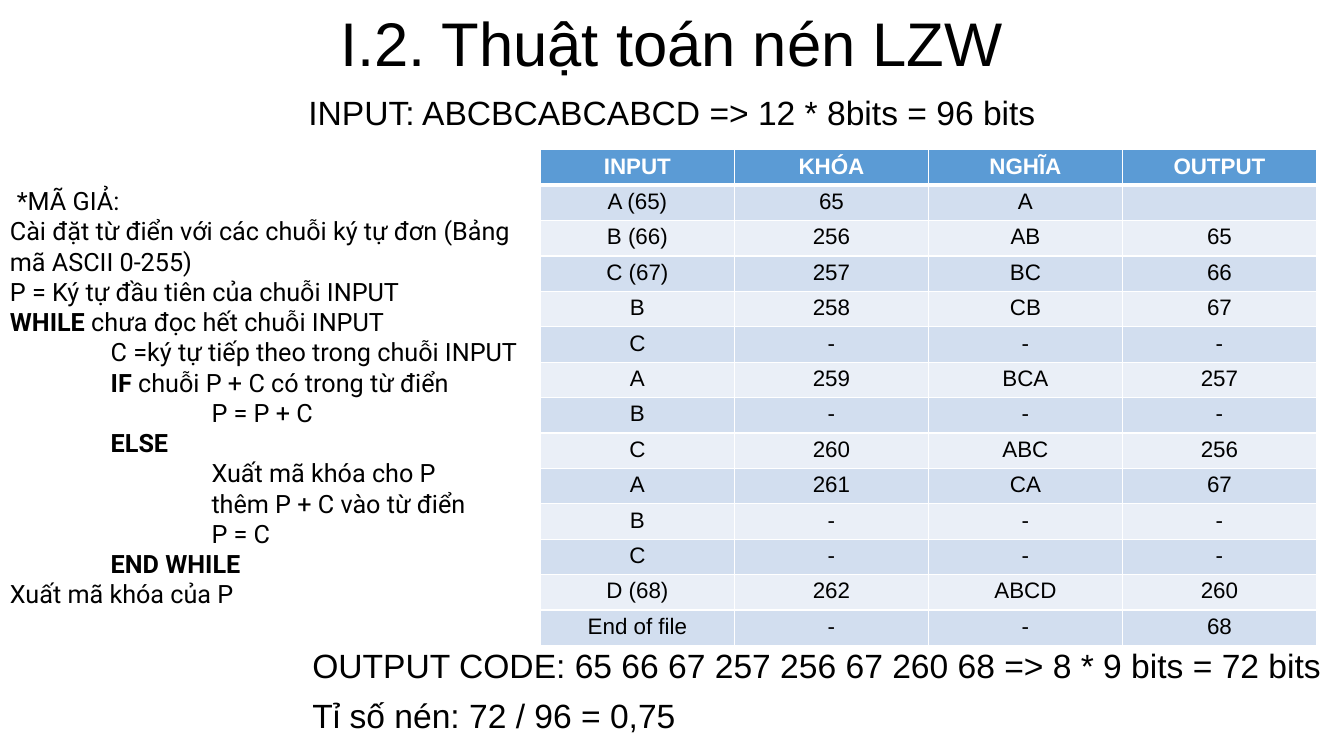
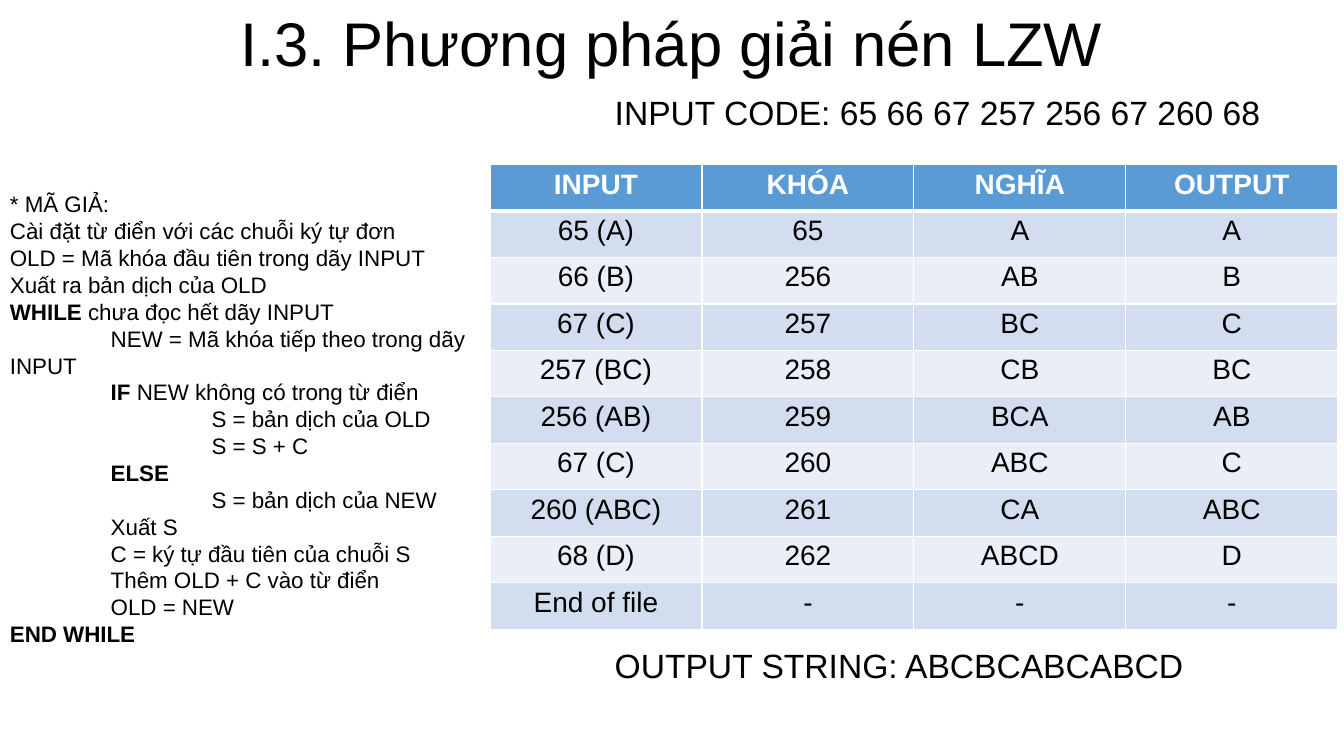
from dataclasses import dataclass

from pptx import Presentation
from pptx.dml.color import RGBColor
from pptx.enum.text import MSO_ANCHOR, PP_ALIGN
from pptx.oxml.xmlchemy import OxmlElement
from pptx.util import Pt

LEFT, CENTER = PP_ALIGN.LEFT, PP_ALIGN.CENTER
TOP, MIDDLE = MSO_ANCHOR.TOP, MSO_ANCHOR.MIDDLE


# Theme: colours, fonts and type sizes
@dataclass(frozen=True)
class Theme:
    ink: str = "000000"
    white: str = "FFFFFF"
    header: str = "5B9BD5"
    odd_row: str = "D2DEEF"
    even_row: str = "EAEFF7"
    font: str = "Arial"
    title_size: float = 44
    summary_size: float = 24
    thin_border: float = 1
    thick_border: float = 3


THEME = Theme()
SLIDE_WIDTH, SLIDE_HEIGHT = 960, 540
TITLE_HEIGHT = 67
INPUT_TOP, OUTPUT_TOP = 65.5, 460.5
TAB = 72
COLUMNS = ("INPUT", "KHÓA", "NGHĨA", "OUTPUT")


# Content types
@dataclass(frozen=True)
class CodeLine:
    text: str = ""
    level: int = 0
    keyword: str = ""
    nudge: float = 0


@dataclass(frozen=True)
class Pseudocode:
    top: float
    width: float
    height: float
    font: str
    size: float
    lines: tuple[CodeLine, ...]


@dataclass(frozen=True)
class Trace:
    left: float
    top: float
    column_width: float
    row_height: float
    size: float
    rows: tuple[tuple[str, ...], ...]


@dataclass(frozen=True)
class Summary:
    lines: tuple[str, ...]
    left: float
    top: float
    align: PP_ALIGN = LEFT


@dataclass(frozen=True)
class Lesson:
    title: str
    summaries: tuple[Summary, ...]
    trace: Trace
    code: Pseudocode


# Drawing functions
def add_run(paragraph, text: str, size: float, color: str = THEME.ink,
            font: str = THEME.font, bold: bool = False) -> None:
    run = paragraph.add_run()
    run.text = text
    run.font.name, run.font.size, run.font.bold = font, Pt(size), bold
    run.font.color.rgb = RGBColor.from_string(color)


def add_frame(slide, left: float, top: float, width: float, height: float,
              anchor: MSO_ANCHOR = TOP):
    frame = slide.shapes.add_textbox(Pt(left), Pt(top), Pt(width), Pt(height)).text_frame
    frame.word_wrap = True
    frame.vertical_anchor = anchor
    return frame


def next_paragraph(frame, index: int):
    return frame.add_paragraph() if index else frame.paragraphs[0]


def draw_title(slide, title: str) -> None:
    paragraph = add_frame(slide, 0, 0, SLIDE_WIDTH, TITLE_HEIGHT, MIDDLE).paragraphs[0]
    paragraph.alignment, paragraph.line_spacing = CENTER, 0.9
    add_run(paragraph, title, THEME.title_size)


def draw_summary(slide, summary: Summary) -> None:
    frame = add_frame(slide, summary.left, summary.top, SLIDE_WIDTH - summary.left,
                      36 * len(summary.lines))
    for index, line in enumerate(summary.lines):
        paragraph = next_paragraph(frame, index)
        paragraph.alignment, paragraph.line_spacing = summary.align, 0.9
        if index:
            paragraph.space_before = Pt(10)
        add_run(paragraph, line, THEME.summary_size)


def draw_code(slide, code: Pseudocode) -> None:
    frame = add_frame(slide, 0, code.top, code.width, code.height)
    for index, line in enumerate(code.lines):
        paragraph = next_paragraph(frame, index)
        # First-line indent, so wrapped text returns to the left edge
        properties = paragraph._p.get_or_add_pPr()
        properties.set("marL", "0")
        properties.set("indent", str(Pt(line.level * TAB + line.nudge)))
        if line.keyword:
            gap = " " if line.text else ""
            add_run(paragraph, line.keyword + gap, code.size, font=code.font, bold=True)
        if line.text:
            add_run(paragraph, line.text, code.size, font=code.font)


def set_borders(cell, top: float, bottom: float) -> None:
    properties = cell._tc.get_or_add_tcPr()
    thin = THEME.thin_border
    sides = (("a:lnL", thin), ("a:lnR", thin), ("a:lnT", top), ("a:lnB", bottom))
    for index, (tag, width) in enumerate(sides):
        border = OxmlElement(tag)
        border.set("w", str(Pt(width)))
        fill = OxmlElement("a:solidFill")
        color = OxmlElement("a:srgbClr")
        color.set("val", THEME.white)
        fill.append(color)
        border.append(fill)
        properties.insert(index, border)


def draw_cell(cell, text: str, row: int, size: float) -> None:
    is_header = row == 0
    band = THEME.header if is_header else THEME.odd_row if row % 2 else THEME.even_row
    cell.fill.solid()
    cell.fill.fore_color.rgb = RGBColor.from_string(band)
    cell.margin_left = cell.margin_right = Pt(6.5)
    cell.margin_top = cell.margin_bottom = Pt(3)
    set_borders(cell,
                THEME.thick_border if row == 1 else THEME.thin_border,
                THEME.thick_border if is_header else THEME.thin_border)
    paragraph = cell.text_frame.paragraphs[0]
    paragraph.alignment = CENTER
    if text:
        add_run(paragraph, text, size, THEME.white if is_header else THEME.ink,
                bold=is_header)
    else:
        # Keeps an empty cell from stretching its row
        end = OxmlElement("a:endParaRPr")
        end.set("sz", str(round(size * 100)))
        paragraph._p.append(end)


def draw_trace(slide, trace: Trace) -> None:
    rows = (COLUMNS, *trace.rows)
    table = slide.shapes.add_table(
        len(rows), len(COLUMNS), Pt(trace.left), Pt(trace.top),
        Pt(trace.column_width * len(COLUMNS)), Pt(trace.row_height * len(rows))).table
    for column in table.columns:
        column.width = Pt(trace.column_width)
    for row, texts in enumerate(rows):
        table.rows[row].height = Pt(trace.row_height)
        for column, text in enumerate(texts):
            draw_cell(table.cell(row, column), text, row, trace.size)


def draw_lesson(deck, lesson: Lesson) -> None:
    slide = deck.slides.add_slide(deck.slide_layouts[6])
    for summary in lesson.summaries:
        draw_summary(slide, summary)
    draw_title(slide, lesson.title)
    draw_trace(slide, lesson.trace)
    draw_code(slide, lesson.code)


# Compression slide
COMPRESSION = Lesson(
    "I.2. Thuật toán nén LZW",
    (
        Summary(("INPUT: ABCBCABCABCD => 12 * 8bits = 96 bits",), 0, INPUT_TOP, CENTER),
        Summary(("OUTPUT CODE: 65 66 67 257 256 67 260 68 => 8 * 9 bits = 72 bits",
                 "Tỉ số nén: 72 / 96 = 0,75"), 216, OUTPUT_TOP),
    ),
    Trace(386, 107, 138.6, 25.3, 16, (
        ("A (65)", "65", "A", ""),
        ("B (66)", "256", "AB", "65"),
        ("C (67)", "257", "BC", "66"),
        ("B", "258", "CB", "67"),
        ("C", "-", "-", "-"),
        ("A", "259", "BCA", "257"),
        ("B", "-", "-", "-"),
        ("C", "260", "ABC", "256"),
        ("A", "261", "CA", "67"),
        ("B", "-", "-", "-"),
        ("C", "-", "-", "-"),
        ("D (68)", "262", "ABCD", "260"),
        ("End of file", "-", "-", "68"),
    )),
    Pseudocode(129, 386, 312.5, "Roboto", 18, (
        CodeLine("*MÃ GIẢ:", nudge=5),
        CodeLine("Cài đặt từ điển với các chuỗi ký tự đơn (Bảng mã ASCII 0-255)"),
        CodeLine("P = Ký tự đầu tiên của chuỗi INPUT"),
        CodeLine("chưa đọc hết chuỗi INPUT", keyword="WHILE"),
        CodeLine("C =ký tự tiếp theo trong chuỗi INPUT", 1),
        CodeLine("chuỗi P + C có trong từ điển", 1, "IF"),
        CodeLine("P = P + C", 2),
        CodeLine(level=1, keyword="ELSE"),
        CodeLine("Xuất mã khóa cho P", 2),
        CodeLine("thêm P + C vào từ điển", 2),
        CodeLine("P = C", 2),
        CodeLine(level=1, keyword="END WHILE"),
        CodeLine("Xuất mã khóa của P"),
    )),
)

# Decompression slide
DECOMPRESSION = Lesson(
    "I.3. Phương pháp giải nén LZW",
    (
        Summary(("INPUT CODE: 65 66 67 257 256 67 260 68",), 432, INPUT_TOP),
        Summary(("OUTPUT STRING: ABCBCABCABCD",), 432, OUTPUT_TOP),
    ),
    Trace(350, 117.5, 151.4, 33.2, 20, (
        ("65 (A)", "65", "A", "A"),
        ("66 (B)", "256", "AB", "B"),
        ("67 (C)", "257", "BC", "C"),
        ("257 (BC)", "258", "CB", "BC"),
        ("256 (AB)", "259", "BCA", "AB"),
        ("67 (C)", "260", "ABC", "C"),
        ("260 (ABC)", "261", "CA", "ABC"),
        ("68 (D)", "262", "ABCD", "D"),
        ("End of file", "-", "-", "-"),
    )),
    Pseudocode(132.5, 361, 317.5, THEME.font, 16, (
        CodeLine("* MÃ GIẢ:"),
        CodeLine("Cài đặt từ điển với các chuỗi ký tự đơn"),
        CodeLine("OLD = Mã khóa đầu tiên trong dãy INPUT"),
        CodeLine("Xuất ra bản dịch của OLD"),
        CodeLine("chưa đọc hết dãy INPUT", keyword="WHILE"),
        CodeLine("NEW = Mã khóa tiếp theo trong dãy INPUT", 1),
        CodeLine("NEW không có trong từ điển", 1, "IF"),
        CodeLine("S = bản dịch của OLD", 2),
        CodeLine("S = S + C", 2),
        CodeLine(level=1, keyword="ELSE"),
        CodeLine("S = bản dịch của NEW", 2),
        CodeLine("Xuất S", 1),
        CodeLine("C = ký tự đầu tiên của chuỗi S", 1),
        CodeLine("Thêm OLD + C vào từ điển", 1),
        CodeLine("OLD = NEW", 1),
        CodeLine(keyword="END WHILE"),
    )),
)


def main() -> None:
    deck = Presentation()
    deck.slide_width, deck.slide_height = Pt(SLIDE_WIDTH), Pt(SLIDE_HEIGHT)
    for lesson in (COMPRESSION, DECOMPRESSION):
        draw_lesson(deck, lesson)
    deck.save("out.pptx")


if __name__ == "__main__":
    main()
